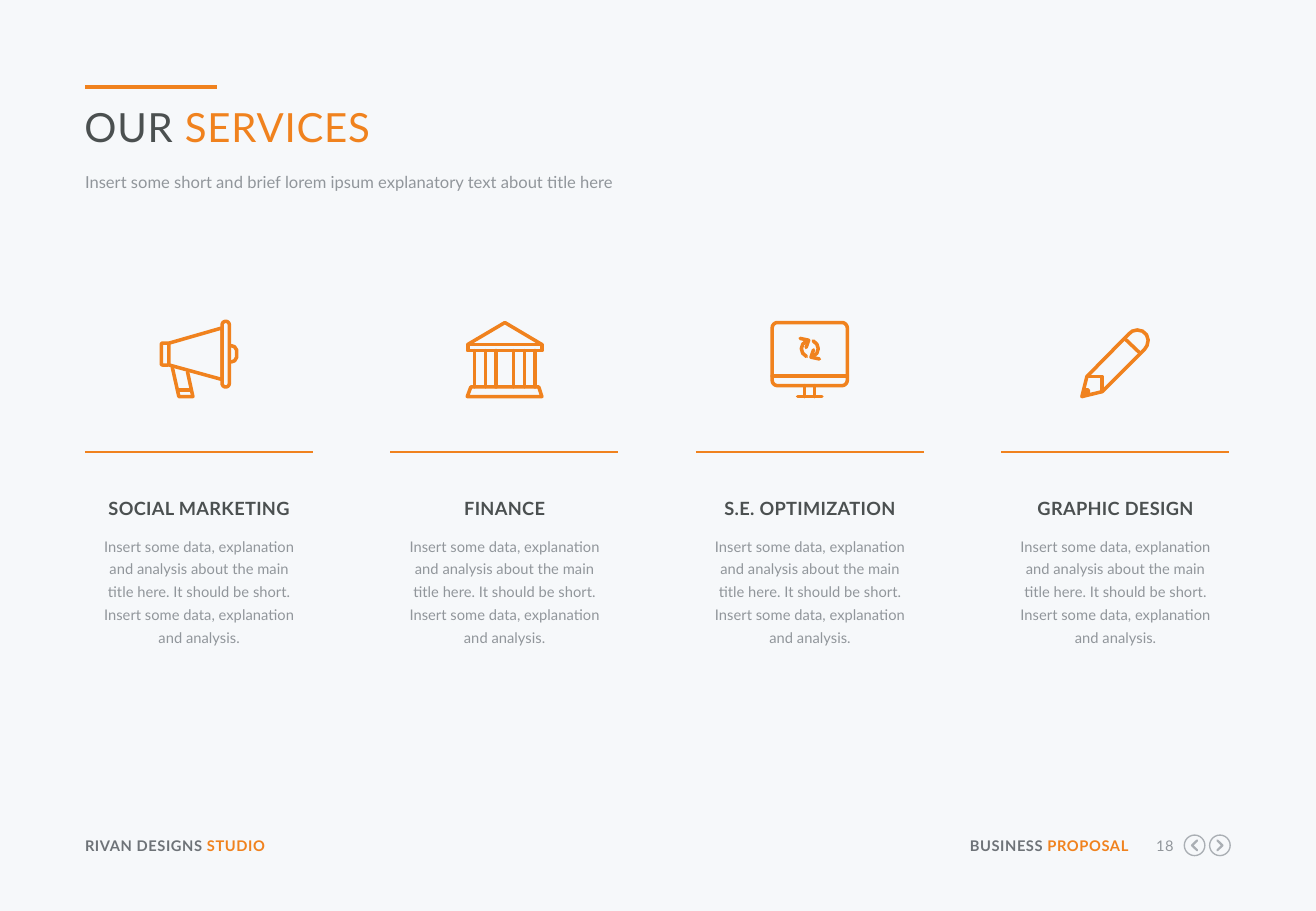
"""Build the services slide with four outlined icons."""
import math

from lxml import etree
from pptx import Presentation
from pptx import util as u
from pptx.dml.color import RGBColor
from pptx.enum import shapes, text
from pptx.oxml.ns import qn

ORANGE, DARK, FOOTER, GREY, NAV = "F0821E", "4B5050", "6E7378", "91969B", "AAAFB4"
LEFT, PITCH, COLUMN, ICON, ICON_TOP = 50.4, 181, 135, 46.8, 189.4
BLURB = ("Insert some data, explanation and analysis about the main title here. "
         "It should be short. Insert some data, explanation and analysis.")


def colour(value):
    """Turn a hex string into a colour."""
    return RGBColor.from_string(value)


def rounded(x, y, width, height, radius):
    """Return the closed outline of a rounded rectangle."""
    right, bottom = x + width - radius, y + height - radius
    corners = [(right, bottom), (x + radius, bottom), (x + radius, y + radius), (right, y + radius)]
    points = [(cx + radius * math.cos(math.radians(90 * turn + step)),
               cy + radius * math.sin(math.radians(90 * turn + step)))
              for turn, (cx, cy) in enumerate(corners) for step in range(0, 91, 15)]
    return points + points[:1]


def box_outline(x, y, width, height):
    """Return the closed outline of a rectangle."""
    return [(x, y), (x + width, y), (x + width, y + height), (x, y + height), (x, y)]


def megaphone():
    """Return the strokes of the megaphone icon."""
    return [
        [(5.8, 14), (37.1, 5), (37.1, 35.6), (5.8, 27)],
        rounded(1.1, 14, 4.5, 13, 0.8),
        rounded(37.1, 1.1, 4.3, 38.9, 2.1),
        [(7.6, 28.4), (11.5, 45.7), (19.8, 45.7), (16.6, 31)],
        [(10.8, 41.8), (18.7, 41.8)],
        [(42.5, 15.5), (44.5, 16.2), (45.7, 18), (45.7, 22.5), (44.5, 24.5), (42.5, 25.2)],
    ]


def bank():
    """Return the strokes of the bank icon."""
    pillars = [[(x, 18.4), (x, 40)] for x in (5.7, 12.2, 18.3, 28.7, 35.2, 41.7)]
    return pillars + [
        [(1.7, 14.8), (23.7, 1.8), (45.6, 14.8)],
        box_outline(1.7, 14.8, 43.9, 3.7),
        [(3.5, 40), (43.8, 40), (45.6, 45.7), (1.4, 45.7), (3.5, 40)],
    ]


def monitor():
    """Return the strokes of the monitor icon."""
    arrow = [
        [(21.4, 21.9), (19.2, 20), (18.4, 17.3), (19.2, 14.6), (21.2, 13)],
        [(17.7, 11.2), (22.7, 12.3), (21.2, 16.6)],
    ]
    turned = [[(46.8 - x, 34.6 - y) for x, y in stroke] for stroke in arrow]
    return arrow + turned + [
        rounded(1.1, 1.8, 44.5, 37.4, 3.2),
        [(1.1, 33.5), (45.6, 33.5)],
        [(20.2, 39.2), (20.2, 45.7)],
        [(26.3, 39.2), (26.3, 45.7)],
        [(16.2, 45.7), (30.6, 45.7)],
    ]


def pencil():
    """Return the strokes of the pencil icon."""
    return [
        [(6.6, 33.8), (31.4, 8.6), (33.5, 6.9), (36.4, 6.2), (39.5, 6.9), (41.9, 9),
         (42.9, 12.2), (42.2, 15.5), (40.8, 17.6), (15.6, 42.8), (3.6, 45.7), (6.6, 33.8)],
        [(29.2, 11.5), (37.9, 19.8)],
        [(7.6, 33.8), (15.6, 33.8), (15.6, 42)],
        [(5.5, 41.8), (7.5, 41.8), (7.5, 43.6), (4.5, 44.7), (5.5, 41.8)],
    ]


def add_strokes(page, x, y, strokes, tone, weight):
    """Draw several strokes as one outlined shape with round joins."""
    placed = [[(u.Pt(x + px), u.Pt(y + py)) for px, py in stroke] for stroke in strokes]
    builder = page.shapes.build_freeform(*placed[0][0])
    for number, points in enumerate(placed):
        if number:
            builder.move_to(*points[0])
        builder.add_line_segments(points[1:], close=points[0] == points[-1])
    shape = builder.convert_to_shape()
    outline(shape, tone, weight)
    line = shape.line._get_or_add_ln()
    line.set("cap", "rnd")
    etree.SubElement(line, qn("a:round"))


def outline(shape, tone, weight):
    """Give a shape a plain line and no fill."""
    shape.shadow.inherit = False
    shape.fill.background()
    shape.line.color.rgb = colour(tone)
    shape.line.width = u.Pt(weight)


def add_rule(page, x, y, width, weight):
    """Draw a horizontal orange rule."""
    rule = page.shapes.add_connector(
        shapes.MSO_CONNECTOR.STRAIGHT, u.Pt(x), u.Pt(y), u.Pt(x + width), u.Pt(y))
    rule.line.color.rgb = colour(ORANGE)
    rule.line.width = u.Pt(weight)
    etree.SubElement(rule._element.spPr, qn("a:effectLst"))


def set_text(box, spans, size, align="LEFT", bold=False, spacing=0, leading=1.0):
    """Fill a box with one paragraph of coloured spans."""
    frame = box.text_frame
    frame.word_wrap = True
    frame.auto_size = text.MSO_AUTO_SIZE.NONE
    frame.vertical_anchor = text.MSO_ANCHOR.TOP
    frame.margin_left = frame.margin_right = frame.margin_top = frame.margin_bottom = 0
    para = frame.paragraphs[0]
    para.alignment = text.PP_ALIGN[align]
    para.line_spacing = leading
    para.space_before = u.Pt(0)
    if box.is_placeholder:
        properties = para._p.get_or_add_pPr()
        properties.set("marL", "0")
        properties.set("indent", "0")
        etree.SubElement(properties, qn("a:buNone"))
    para.font.name = "Lato"
    para.font.size = u.Pt(size)
    para.font.bold = bold
    for words, tone in spans:
        span = para.add_run()
        span.text = words
        span.font.color.rgb = colour(tone)
        if spacing:
            span._r.get_or_add_rPr().set("spc", str(round(spacing * 100)))


def place(box, x, y, width, height):
    """Move and size a box."""
    box.left, box.top, box.width, box.height = map(u.Pt, (x, y, width, height))
    return box


def add_text(page, x, y, width, height, spans, size, **style):
    """Add a text box."""
    box = page.shapes.add_textbox(*map(u.Pt, (x, y, width, height)))
    set_text(box, spans, size, **style)


def add_service(page, number, name, strokes):
    """Draw one service column."""
    x = LEFT + number * PITCH
    add_strokes(page, x + (COLUMN - ICON) / 2, ICON_TOP, strokes, ORANGE, 2.1)
    add_rule(page, x, 267.8, COLUMN, 1)
    add_text(page, x + 7.9, 294.5, 119.5, 13, [(name, DARK)], 10.8,
             align="CENTER", bold=True, spacing=0.2)
    add_text(page, x + 7.9, 315.4, 119.5, 68.4, [(BLURB, GREY)], 8.7,
             align="CENTER", leading=1.3)


def add_footer(page):
    """Draw the footer texts and the two page buttons."""
    style = {"size": 8.7, "spacing": 0.3}
    add_text(page, LEFT, 496.1, 152, 10.8, [("RIVAN DESIGNS ", FOOTER), ("STUDIO", ORANGE)],
             bold=True, **style)
    add_text(page, 570.2, 496.1, 98.6, 10.8, [("BUSINESS ", FOOTER), ("PROPOSAL", ORANGE)],
             align="RIGHT", bold=True, **style)
    add_text(page, 677.5, 496.1, 18, 10.8, [("18", GREY)], align="RIGHT", **style)
    for x, way in ((707.9, -1), (722.9, 1)):
        ring = page.shapes.add_shape(
            shapes.MSO_SHAPE.OVAL, *map(u.Pt, (x - 6.1, 495, 12.2, 12.2)))
        outline(ring, NAV, 0.8)
        chevron = [(-1.5 * way, -2.9), (1.5 * way, 0), (-1.5 * way, 2.9)]
        add_strokes(page, x, 501.1, [chevron], NAV, 1.3)


def main():
    """Build and save the slide."""
    deck = Presentation()
    deck.slide_width, deck.slide_height = u.Pt(779.8), u.Pt(540)
    page = deck.slides.add_slide(deck.slide_layouts[1])
    page.background.fill.solid()
    page.background.fill.fore_color.rgb = colour("F6F8FA")
    title, subtitle = page.placeholders
    set_text(place(title, 50, 60.5, 678, 29.5), [("OUR ", DARK), ("SERVICES", ORANGE)],
             23.8, spacing=0.5)
    set_text(place(subtitle, LEFT, 100.8, 678, 15.1),
             [("Insert some short and brief lorem ipsum explanatory text about title here", GREY)],
             9.8, leading=u.Pt(13))
    add_rule(page, LEFT, 51.6, 78.2, 2.25)
    services = [("SOCIAL MARKETING", megaphone()), ("FINANCE", bank()),
                ("S.E. OPTIMIZATION", monitor()), ("GRAPHIC DESIGN", pencil())]
    for number, (name, strokes) in enumerate(services):
        add_service(page, number, name, strokes)
    add_footer(page)
    deck.save("out.pptx")


if __name__ == "__main__":
    main()
